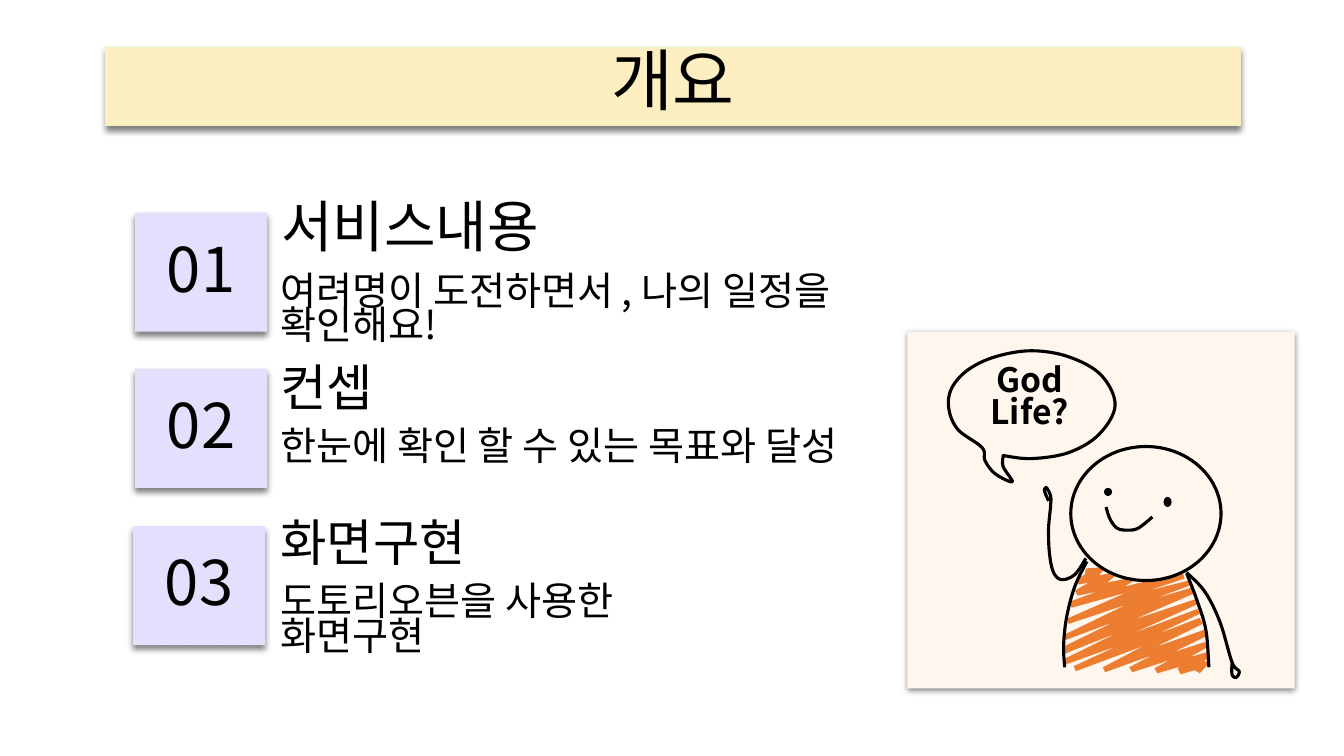
import lxml.etree
import pptx
import pptx.dml.color
import pptx.enum.shapes
import pptx.enum.text
import pptx.oxml.ns
import pptx.util

Inches = pptx.util.Inches
Pt = pptx.util.Pt
RGBColor = pptx.dml.color.RGBColor
PP_ALIGN = pptx.enum.text.PP_ALIGN
MSO_ANCHOR = pptx.enum.text.MSO_ANCHOR
MSO_SHAPE = pptx.enum.shapes.MSO_SHAPE
qn = pptx.oxml.ns.qn

FONT = "Noto Sans CJK KR"
BLACK = RGBColor(0x00, 0x00, 0x00)
BUTTER = RGBColor(0xFD, 0xEF, 0xC2)
BUTTER_EDGE = RGBColor(0xF5, 0xF0, 0xBB)
LILAC = RGBColor(0xE3, 0xDF, 0xFD)
CREAM = RGBColor(0xFF, 0xF7, 0xEE)
ORANGE = RGBColor(0xED, 0x7D, 0x31)

TITLE = "개요"
SECTIONS = [
    {"number": "01", "tile": (1.34, 2.11), "heading": "서비스내용", "size": 40,
     "heading_at": (2.66, 1.7, 6.94, 1.01),
     "detail": "여려명이 도전하면서 , 나의 일정을 확인해요!", "detail_at": (2.65, 2.62, 6.64, 0.75)},
    {"number": "02", "tile": (1.34, 3.66), "heading": "컨셉", "size": 36,
     "heading_at": (2.65, 3.64, 8.68, 0.63),
     "detail": "한눈에 확인 할 수 있는 목표와 달성", "detail_at": (2.65, 4.16, 6.09, 0.75)},
    {"number": "03", "tile": (1.32, 5.22), "heading": "화면구현", "size": 36,
     "heading_at": (2.65, 5.18, 4.26, 0.63),
     "detail": "도토리오븐을 사용한 화면구현", "detail_at": (2.65, 5.7, 4.26, 0.75)},
]
SPEECH = "God Life?"

SHIRT = [
    (10.91, 5.63), (10.95, 5.65), (10.9, 5.71), (11.04, 5.68), (11.08, 5.7), (10.98, 5.78),
    (11.23, 5.73), (11.27, 5.75), (11.15, 5.82), (11.73, 5.68), (11.75, 5.74), (11.39, 5.86),
    (11.79, 5.76), (11.8, 5.81), (11.45, 5.94), (11.82, 5.83), (11.84, 5.89), (11.24, 6.15),
    (11.87, 5.94), (11.89, 5.99), (11.22, 6.29), (11.88, 6.04), (11.9, 6.09), (11.48, 6.29),
    (11.9, 6.13), (11.93, 6.19), (11.46, 6.42), (11.94, 6.25), (11.97, 6.31), (11.64, 6.47),
    (11.95, 6.37), (11.98, 6.42), (11.8, 6.52), (11.97, 6.47), (12, 6.52), (11.94, 6.56),
    (12, 6.57), (11.9, 6.68), (11.85, 6.65), (11.71, 6.69), (11.68, 6.63), (11.72, 6.61),
    (11.48, 6.68), (11.45, 6.63), (11.6, 6.55), (11.23, 6.67), (11.2, 6.62), (11.43, 6.5),
    (10.96, 6.67), (10.94, 6.62), (11.34, 6.41), (10.67, 6.66), (10.65, 6.61), (11.08, 6.41),
    (10.55, 6.6), (10.55, 6.54), (11.08, 6.28), (10.55, 6.49), (10.54, 6.42), (11.05, 6.17),
    (10.57, 6.35), (10.55, 6.3), (11.17, 6), (10.6, 6.19), (10.58, 6.14), (11.17, 5.88),
    (10.63, 6.03), (10.61, 5.97), (10.88, 5.87), (10.69, 5.91), (10.66, 5.86), (10.8, 5.78),
    (10.7, 5.8), (10.68, 5.75), (10.76, 5.7), (10.77, 5.64),
]
STROKES = {
    "raised arm": [(10.77, 5.54), (10.66, 5.7), (10.53, 5.75), (10.45, 5.68), (10.41, 5.5),
                   (10.4, 5.25), (10.42, 5.02), (10.42, 4.92), (10.38, 4.84), (10.36, 4.87),
                   (10.4, 4.97)],
    "left side": [(10.78, 5.57), (10.66, 5.82), (10.58, 6.12), (10.55, 6.4), (10.56, 6.62)],
    "right side": [(11.77, 5.69), (11.87, 5.95), (11.96, 6.25), (11.99, 6.62)],
    "lowered arm": [(11.77, 5.68), (11.95, 5.87), (12.1, 6.17), (12.22, 6.57), (12.29, 6.66),
                    (12.26, 6.72), (12.22, 6.69), (12.22, 6.57)],
    "smile": [(10.97, 5.03), (11.01, 5.15), (11.08, 5.24), (11.18, 5.26), (11.29, 5.24),
              (11.43, 5.13)],
    "bubble": [(9.95, 4.52), (10.23, 4.55), (10.6, 4.49), (10.9, 4.31), (11.06, 4.02),
               (10.92, 3.72), (10.6, 3.54), (10.23, 3.48), (9.87, 3.54), (9.6, 3.67),
               (9.44, 3.85), (9.41, 4.05), (9.5, 4.26), (9.74, 4.44), (9.77, 4.57),
               (9.87, 4.7), (10.04, 4.78), (9.95, 4.63), (9.95, 4.52)],
}
HEAD = (10.62, 4.43, 1.49, 1.33)
EYES = [(11.54, 4.93, 0.08, 0.1), (10.95, 4.84, 0.08, 0.08)]


def place(shape, at):
    shape.left, shape.top, shape.width, shape.height = map(Inches, at)


def write(shape, text, size, spacing, anchor, align=PP_ALIGN.LEFT, bold=False, inset=0.13):
    frame = shape.text_frame
    frame.word_wrap = True
    frame.auto_size = pptx.enum.text.MSO_AUTO_SIZE.NONE
    frame.vertical_anchor = anchor
    frame.margin_left = frame.margin_right = Inches(inset)
    frame.margin_top = frame.margin_bottom = Inches(inset)
    para = frame.paragraphs[0]
    para.alignment = align
    para.line_spacing = spacing
    para.space_before = Pt(0)
    span = para.add_run()
    span.text = text
    span.font.name = FONT
    span.font.size = Pt(size)
    span.font.bold = bold
    span.font.color.rgb = BLACK
    lxml.etree.SubElement(span.font._element, qn("a:ea"), typeface=FONT)


def paint(shape, fill=None, line=None, weight=0.75):
    shape.shadow.inherit = False
    if fill is None:
        shape.fill.background()
    else:
        shape.fill.solid()
        shape.fill.fore_color.rgb = fill
    if line is None:
        shape.line.fill.background()
    else:
        shape.line.color.rgb = line
        shape.line.width = Pt(weight)


def drop_shadow(shape, distance):
    effects = shape._element.spPr.find(qn("a:effectLst"))
    shadow = lxml.etree.SubElement(effects, qn("a:outerShdw"), blurRad=str(Pt(4.5)),
                                   dist=str(Pt(distance)), dir="5400000", algn="t", rotWithShape="0")
    color = lxml.etree.SubElement(shadow, qn("a:srgbClr"), val="000000")
    lxml.etree.SubElement(color, qn("a:alpha"), val="50000")


def add_preset(shapes, kind, at, **look):
    shape = shapes.add_shape(kind, *map(Inches, at))
    paint(shape, **look)
    return shape


def smooth(points, steps=8):
    padded = [points[0], *points, points[-1]]
    curve = [points[0]]
    for a, b, c, d in zip(padded, padded[1:], padded[2:], padded[3:]):
        for step in range(1, steps + 1):
            t = step / steps
            curve.append(tuple(
                (2 * q + (r - p) * t + (2 * p - 5 * q + 4 * r - s) * t**2
                 + (3 * q - p - 3 * r + s) * t**3) / 2
                for p, q, r, s in zip(a, b, c, d)))
    return curve


def add_outline(shapes, points, close, **look):
    corners = [(Inches(x), Inches(y)) for x, y in points]
    builder = shapes.build_freeform(*corners[0], scale=1.0)
    builder.add_line_segments(corners[1:], close=close)
    paint(builder.convert_to_shape(), **look)


def add_section(page, section):
    detail = page.shapes.add_textbox(*map(Inches, section["detail_at"]))
    write(detail, section["detail"], 28, 0.74, MSO_ANCHOR.TOP)
    tile = add_preset(page.shapes, MSO_SHAPE.RECTANGLE, (*section["tile"], 1.31, 1.18), fill=LILAC)
    drop_shadow(tile, 3)
    write(tile, section["number"], 44, 0.9, MSO_ANCHOR.MIDDLE, PP_ALIGN.CENTER)
    heading = page.shapes.add_textbox(*map(Inches, section["heading_at"]))
    write(heading, section["heading"], section["size"], 0.9, MSO_ANCHOR.BOTTOM)


def add_doodle(page):
    card = add_preset(page.shapes, MSO_SHAPE.RECTANGLE, (9, 3.29, 3.84, 3.54), fill=CREAM)
    drop_shadow(card, 1.5)
    person = page.shapes.add_group_shape().shapes
    add_outline(person, SHIRT, True, fill=ORANGE)
    for points in STROKES.values():
        add_outline(person, smooth(points), False, line=BLACK, weight=2.25)
    add_preset(person, MSO_SHAPE.OVAL, HEAD, line=BLACK, weight=2.25)
    for eye in EYES:
        add_preset(person, MSO_SHAPE.OVAL, eye, fill=BLACK)
    speech = add_preset(page.shapes, MSO_SHAPE.OVAL, (9.47, 3.57, 1.48, 0.78), fill=CREAM)
    write(speech, SPEECH, 24, 0.8, MSO_ANCHOR.MIDDLE, PP_ALIGN.CENTER, bold=True, inset=0.05)


def main():
    """Build the overview slide with three numbered sections and a doodle card."""
    deck = pptx.Presentation()
    deck.slide_width, deck.slide_height = Inches(13.33), Inches(7.5)
    page = deck.slides.add_slide(deck.slide_layouts[5])
    title = page.shapes.title
    place(title, (1.05, 0.47, 11.25, 0.78))
    paint(title, fill=BUTTER, line=BUTTER_EDGE)
    drop_shadow(title, 3)
    write(title, TITLE, 48, 0.8, MSO_ANCHOR.MIDDLE, PP_ALIGN.CENTER)
    for section in SECTIONS:
        add_section(page, section)
    add_doodle(page)
    deck.save("out.pptx")


if __name__ == "__main__":
    main()
